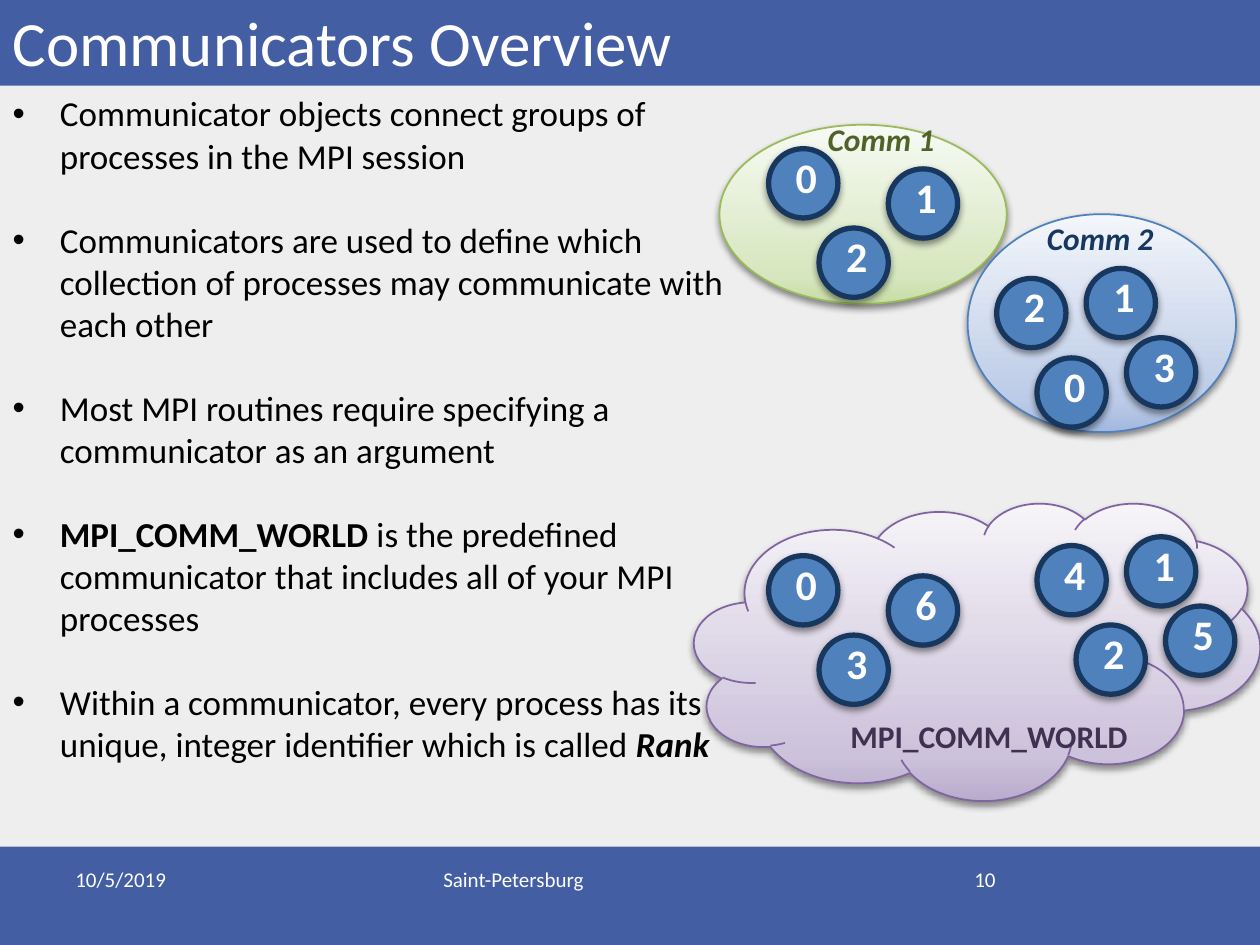
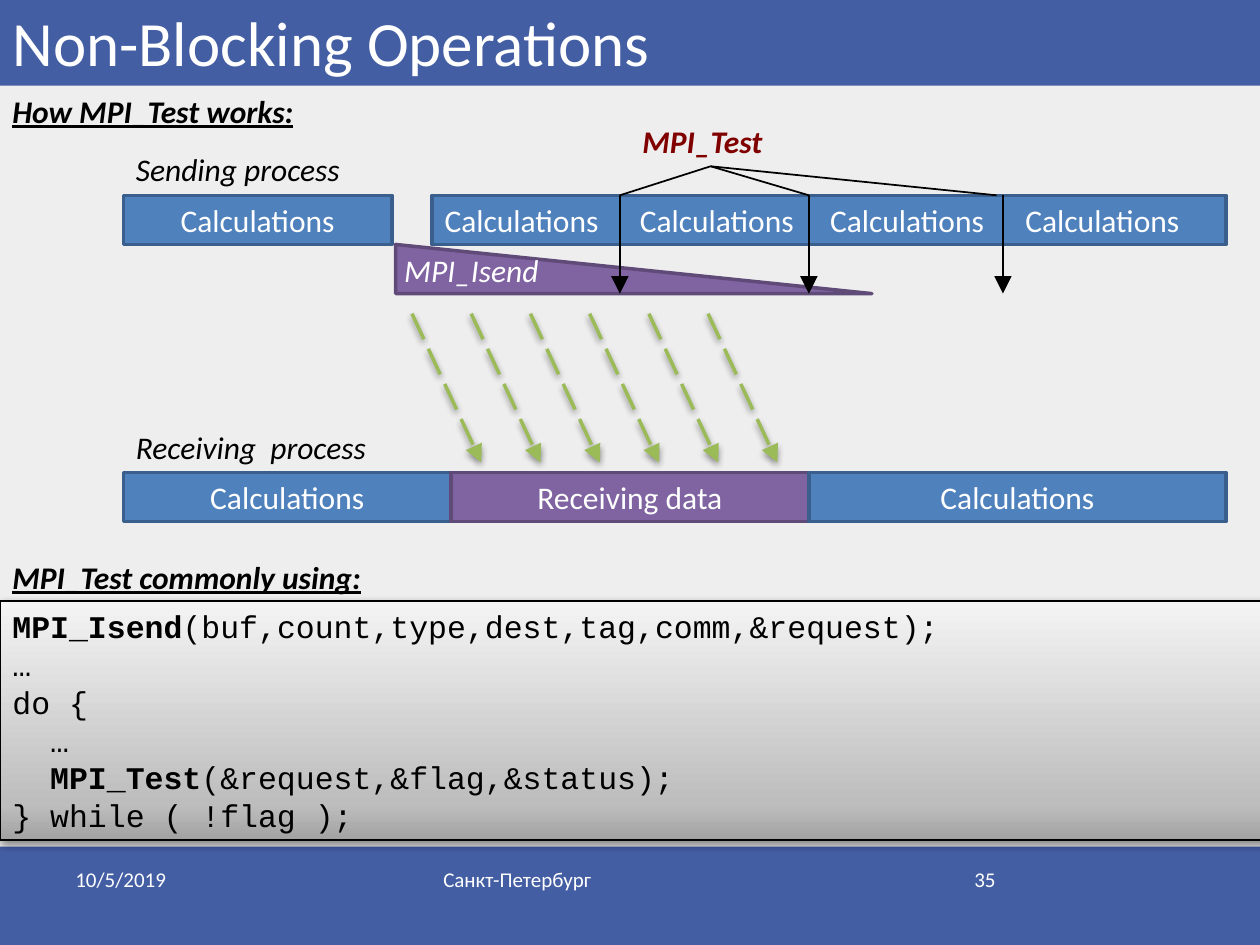
from lxml import etree
from pptx import Presentation
from pptx.dml.color import RGBColor
from pptx.enum.dml import MSO_LINE
from pptx.enum.shapes import MSO_CONNECTOR, MSO_SHAPE
from pptx.enum.text import MSO_ANCHOR, MSO_AUTO_SIZE, PP_ALIGN
from pptx.oxml.ns import qn
from pptx.util import Inches, Pt

RECT, OVAL = MSO_SHAPE.RECTANGLE, MSO_SHAPE.OVAL
CLOUD, TRIANGLE = MSO_SHAPE.CLOUD, MSO_SHAPE.RIGHT_TRIANGLE
STRAIGHT, LONG_DASH = MSO_CONNECTOR.STRAIGHT, MSO_LINE.LONG_DASH
LEFT, CENTER, RIGHT = PP_ALIGN.LEFT, PP_ALIGN.CENTER, PP_ALIGN.RIGHT
TOP, MIDDLE, BOTTOM = MSO_ANCHOR.TOP, MSO_ANCHOR.MIDDLE, MSO_ANCHOR.BOTTOM

COLORS = {
    "page": "EEEEEE", "band": "445EA4", "white": "FFFFFF", "black": "000000",
    "blue": "4F81BD", "blue_edge": "3A5F8C", "navy": "17375E",
    "purple": "8064A2", "purple_edge": "5F4A78", "violet": "403152",
    "green": "9BBB59", "moss": "4F6228", "maroon": "800000",
}
# Gradient stops from bottom to top, at 0, 15 and 100 percent
GRADIENTS = {
    "green": ("C7DDA6", "D6E6BE", "F7FAF4"),
    "blue": ("A3B8DF", "BCCBE7", "F3F6FA"),
    "purple": ("B9ACCD", "CCC2DB", "F6F4F8"),
    "gray": ("A2A2A2", "BDBDBD", "F4F4F4"),
}
BASE_FONT = {"name": "Calibri", "size": Pt(18), "color": "black"}
WHITE_FONT = {"color": "white"}
HEADING = {"bold": True, "italic": True, "underline": True}
BAR_HEIGHT = 0.39


def rgb(name):
    return RGBColor.from_string(COLORS[name])


def inches(*lengths):
    return [Inches(length) for length in lengths]


# Text
def write(frame, paragraphs, font=None, align=LEFT, anchor=TOP, wrap=True):
    """Each paragraph is a string or a list of (text, format) spans."""
    frame.auto_size = MSO_AUTO_SIZE.NONE
    frame.word_wrap = wrap
    frame.vertical_anchor = anchor
    for index, spans in enumerate(paragraphs):
        para = frame.paragraphs[0] if index == 0 else frame.add_paragraph()
        para.alignment = align
        for text, extra in [(spans, {})] if isinstance(spans, str) else spans:
            span = para.add_run()
            span.text = text
            for key, value in {**BASE_FONT, **(font or {}), **extra}.items():
                if key == "color":
                    span.font.color.rgb = rgb(value)
                else:
                    setattr(span.font, key, value)


def add_label(page, box, text, font=None, align=LEFT, wrap=False):
    label = page.shapes.add_textbox(*inches(*box))
    write(label.text_frame, [text], font, align, wrap=wrap)


# Shapes and lines
def set_effects(shape, shadow):
    properties = shape.element.spPr
    effects = properties.find(qn("a:effectLst"))
    if effects is None:
        effects = etree.SubElement(properties, qn("a:effectLst"))
    if shadow:
        outer = etree.SubElement(effects, qn("a:outerShdw"), blurRad=str(Pt(4)),
                                 dist=str(Pt(2)), dir="5400000", rotWithShape="0")
        color = etree.SubElement(outer, qn("a:srgbClr"), val=COLORS["black"])
        etree.SubElement(color, qn("a:alpha"), val="43000")


def set_gradient(shape, name):
    shape.fill.gradient()
    shape.fill.gradient_angle = 90
    stops = shape.element.spPr.find(qn("a:gradFill")).find(qn("a:gsLst"))
    for stop in list(stops):
        stops.remove(stop)
    for position, color in zip((0, 15, 100), GRADIENTS[name]):
        stop = etree.SubElement(stops, qn("a:gs"), pos=str(position * 1000))
        etree.SubElement(stop, qn("a:srgbClr"), val=color)


def add_figure(page, kind, box, fill=None, gradient=None, edge=None, width=1,
               shadow=False):
    figure = page.shapes.add_shape(kind, *inches(*box))
    figure.shadow.inherit = False
    if gradient:
        set_gradient(figure, gradient)
    else:
        figure.fill.solid()
        figure.fill.fore_color.rgb = rgb(fill)
    if edge:
        figure.line.color.rgb = rgb(edge)
        figure.line.width = Pt(width)
    else:
        figure.line.fill.background()
    set_effects(figure, shadow)
    return figure


def add_line(page, start, end, color="black", width=1, dash=None, arrow=False,
             shadow=False):
    line = page.shapes.add_connector(STRAIGHT, *inches(*start, *end))
    line.line.color.rgb = rgb(color)
    line.line.width = Pt(width)
    if dash:
        line.line.dash_style = dash
    if arrow:
        outline = line.element.spPr.find(qn("a:ln"))
        etree.SubElement(outline, qn("a:tailEnd"), type="triangle", w="lg", len="lg")
    set_effects(line, shadow)


def add_bar(page, box, text, fill="blue", align=CENTER):
    bar = add_figure(page, RECT, box, fill, edge=fill + "_edge", width=2)
    write(bar.text_frame, [text], WHITE_FONT, align, MIDDLE)
    return bar


# Parts shared by all pages
def dress_master(deck, page):
    master = deck.slide_master
    master.background.fill.solid()
    master.background.fill.fore_color.rgb = rgb("page")
    for index, box in enumerate([(0, 0, 10, 0.68), (0, 6.72, 10, 0.78)]):
        band = add_figure(page, RECT, box, "band")
        band.element.nvSpPr.cNvPr.set("id", str(20 + index))
        master.shapes.element.insert(2, band.element)


def place(shape, box):
    shape.left, shape.top, shape.width, shape.height = inches(*box)


def add_frame(page, title, city, number):
    place(page.shapes.title, (0, -0.21, 10, 0.89))
    write(page.shapes.title.text_frame, [title],
          {**WHITE_FONT, "size": Pt(36)}, anchor=BOTTOM)
    for left, width, text, align in [(0.5, 2.33, "10/5/2019", LEFT),
                                     (3.42, 3.17, city, LEFT),
                                     (7.17, 0.83, number, RIGHT)]:
        add_label(page, (left, 6.83, width, 0.52), text,
                  {**WHITE_FONT, "size": Pt(12)}, align, wrap=True)


# Communicators page
def add_points(page, box):
    body = page.placeholders[1]
    place(body, box)
    write(body.text_frame, [
        "Communicator objects connect groups of processes in the MPI session",
        "Communicators are used to define which collection of processes may "
        "communicate with each other",
        "Most MPI routines require specifying a communicator as an argument",
        [("MPI_COMM_WORLD", {"bold": True}),
         (" is the predefined communicator that includes all of your MPI processes", {})],
        [("Within a communicator, every process has its unique, integer "
          "identifier which is called ", {}),
         ("Rank", {"bold": True, "italic": True})],
    ], {"size": Pt(20)})
    for index, para in enumerate(body.text_frame.paragraphs):
        para.space_before = Pt(24 if index else 0)


def add_process(page, left, top, rank):
    disc = add_figure(page, OVAL, (left, top, 0.55, 0.55), "blue", edge="navy",
                      width=3, shadow=True)
    frame = disc.text_frame
    margins = {"left": 0.05, "top": 0, "right": 0, "bottom": 0.11}
    for side, margin in margins.items():
        setattr(frame, "margin_" + side, Inches(margin))
    write(frame, [str(rank)], {**WHITE_FONT, "size": Pt(24), "bold": True},
          CENTER, MIDDLE, wrap=False)


def add_communicator(page, kind, box, hue, ranks, name, name_box, name_font):
    left, top = box[:2]
    add_figure(page, kind, box, gradient=hue, edge=hue, shadow=True)
    for rank, x, y in ranks:
        add_process(page, left + x, top + y, rank)
    x, y, width = name_box
    add_label(page, (left + x, top + y, width, 0.4), name,
              {"bold": True, **name_font})


def fill_communicators(page):
    add_frame(page, "Communicators Overview", "Saint-Petersburg", "10")
    add_points(page, (0, 0.68, 6.34, 5.49))
    add_communicator(
        page, CLOUD, (5.51, 3.99, 4.49, 2.36), "purple",
        [(0, 0.59, 0.42), (6, 1.54, 0.58), (3, 0.99, 1.05), (2, 3.03, 0.97),
         (1, 3.43, 0.27), (4, 2.72, 0.34), (5, 3.74, 0.82)],
        "MPI_COMM_WORLD", (1.14, 1.65, 2.56), {"color": "violet"})
    add_communicator(
        page, OVAL, (5.71, 0.99, 2.28, 1.42), "green",
        [(0, 0.39, 0.19), (1, 1.34, 0.35), (2, 0.79, 0.82)],
        "Comm 1", (0.76, -0.09, 1.12), {"color": "moss", "italic": True})
    add_communicator(
        page, OVAL, (7.68, 1.7, 2.13, 1.73), "blue",
        [(0, 0.55, 1.14), (1, 0.94, 0.43), (2, 0.23, 0.51), (3, 1.26, 0.98)],
        "Comm 2", (0.53, -0.01, 1.12), {"color": "navy", "italic": True})


# Non-blocking page
def add_sender(page, left, top):
    add_label(page, (left, top - 0.41, 1.89, 0.4), "Sending process", {"italic": True})
    add_bar(page, (left, top, 2.13, BAR_HEIGHT), "Calculations")
    bar = add_bar(page, (left + 2.45, top, 6.3, BAR_HEIGHT),
                  "\t".join(["Calculations"] * 4), align=LEFT)
    properties = bar.text_frame.paragraphs[0]._p.get_or_add_pPr()
    tabs = etree.SubElement(properties, qn("a:tabLst"))
    for stop in (1.55, 3.06, 4.61):
        etree.SubElement(tabs, qn("a:tab"), pos=str(Inches(stop)), algn="l")

    # Data being sent
    bottom = top + BAR_HEIGHT
    add_figure(page, TRIANGLE, (left + 2.16, bottom, 3.78, BAR_HEIGHT),
               "purple", edge="purple_edge", width=2)
    add_label(page, (left + 2.13, bottom, 1.34, 0.4), "MPI_Isend",
              {**WHITE_FONT, "italic": True})

    # Test calls
    add_label(page, (left + 4.02, top - 0.63, 1.27, 0.4), "MPI_Test",
              {"color": "maroon", "bold": True, "italic": True})
    for branch, drop in [(3.94, 3.94), (5.44, 5.44), (6.93, 6.98)]:
        add_line(page, (left + 4.66, top - 0.23), (left + branch, top))
        add_line(page, (left + drop, top),
                 (left + drop, bottom + BAR_HEIGHT), arrow=True)


def add_receiver(page, left, top):
    add_label(page, (left, top - 0.4, 2.08, 0.4), "Receiving  process", {"italic": True})
    for text, width, fill in [("Calculations", 2.6, "blue"),
                              ("Receiving data", 2.84, "purple"),
                              ("Calculations", 3.31, "blue")]:
        add_bar(page, (left, top, width, BAR_HEIGHT), text, fill)
        left += width


def add_messages(page, left, top, count=6, step=0.47):
    for index in range(count):
        x = left + index * step
        add_line(page, (x, top), (x + 0.55, top + 1.18), "green", 2, LONG_DASH,
                 arrow=True, shadow=True)


def add_code(page, box):
    panel = add_figure(page, RECT, box, gradient="gray", edge="black", shadow=True)
    bold = {"bold": True}
    write(panel.text_frame, [
        [("MPI_Isend", bold), ("(buf,count,type,dest,tag,comm,&request);", {})],
        "…",
        "do {",
        "…",
        [("MPI_Test", bold), ("(&request,&flag,&status);", {})],
        "} while ( !flag );",
    ], {"name": "Courier New"})
    for index, para in enumerate(panel.text_frame.paragraphs):
        para.line_spacing = Pt(21.6)
        if index in (3, 4):  # loop body
            para._p.get_or_add_pPr().set("marL", str(Inches(0.3)))


def fill_non_blocking(page):
    add_frame(page, "Non-Blocking Operations", "Санкт-Петербург", "35")
    add_code(page, (0, 4.77, 10.04, 1.9))
    add_label(page, (0, 0.68, 2.57, 0.4), "How MPI_Test works:", HEADING)
    add_sender(page, 0.98, 1.55)
    add_receiver(page, 0.98, 3.75)
    add_messages(page, 3.27, 2.49)
    add_label(page, (0, 4.38, 3.24, 0.4), "MPI_Test commonly using:", HEADING)


def main():
    deck = Presentation()
    deck.slide_width, deck.slide_height = inches(10, 7.5)
    overview = deck.slides.add_slide(deck.slide_layouts[1])
    dress_master(deck, overview)
    fill_communicators(overview)
    fill_non_blocking(deck.slides.add_slide(deck.slide_layouts[5]))
    deck.save("out.pptx")


if __name__ == "__main__":
    main()
